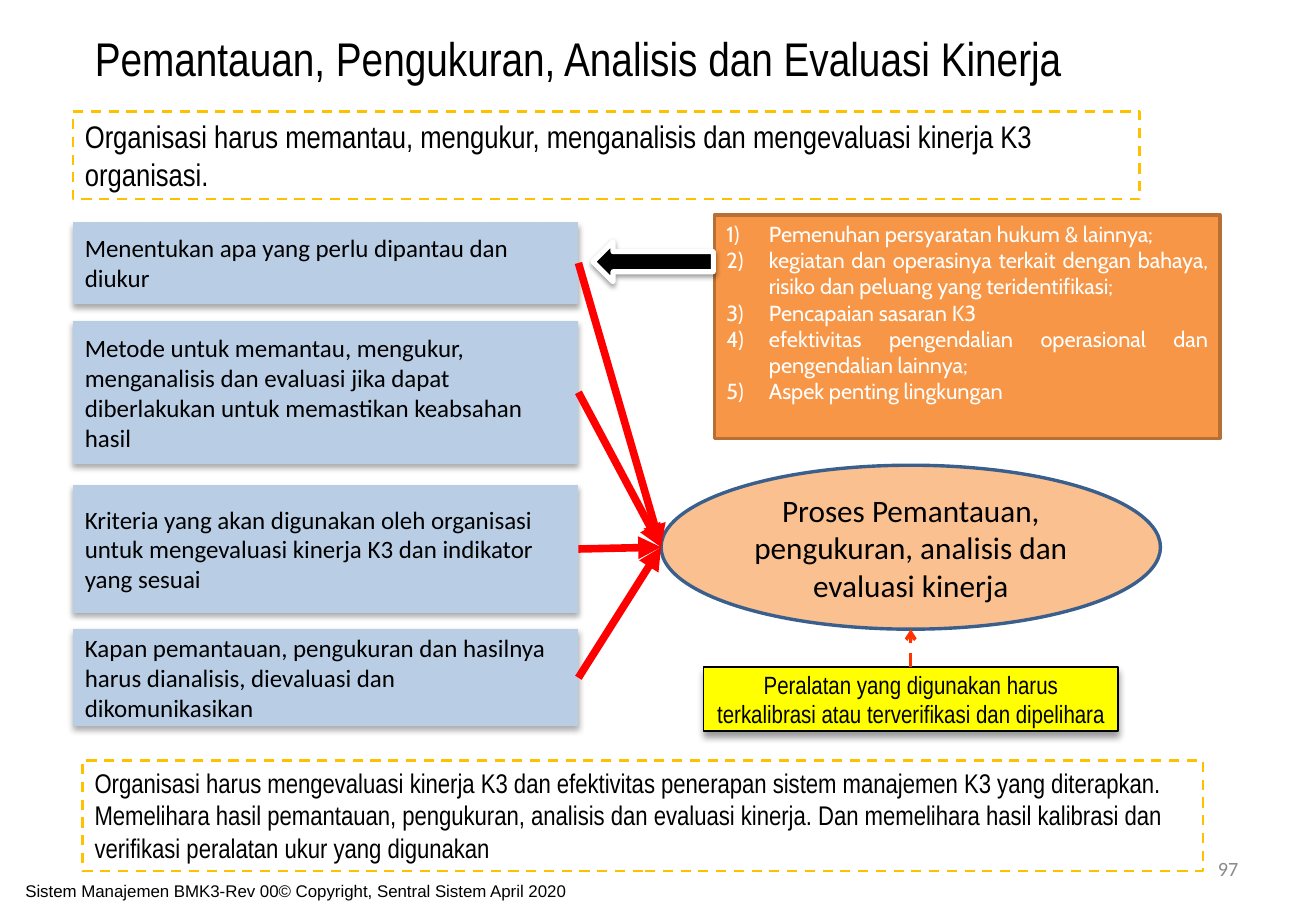
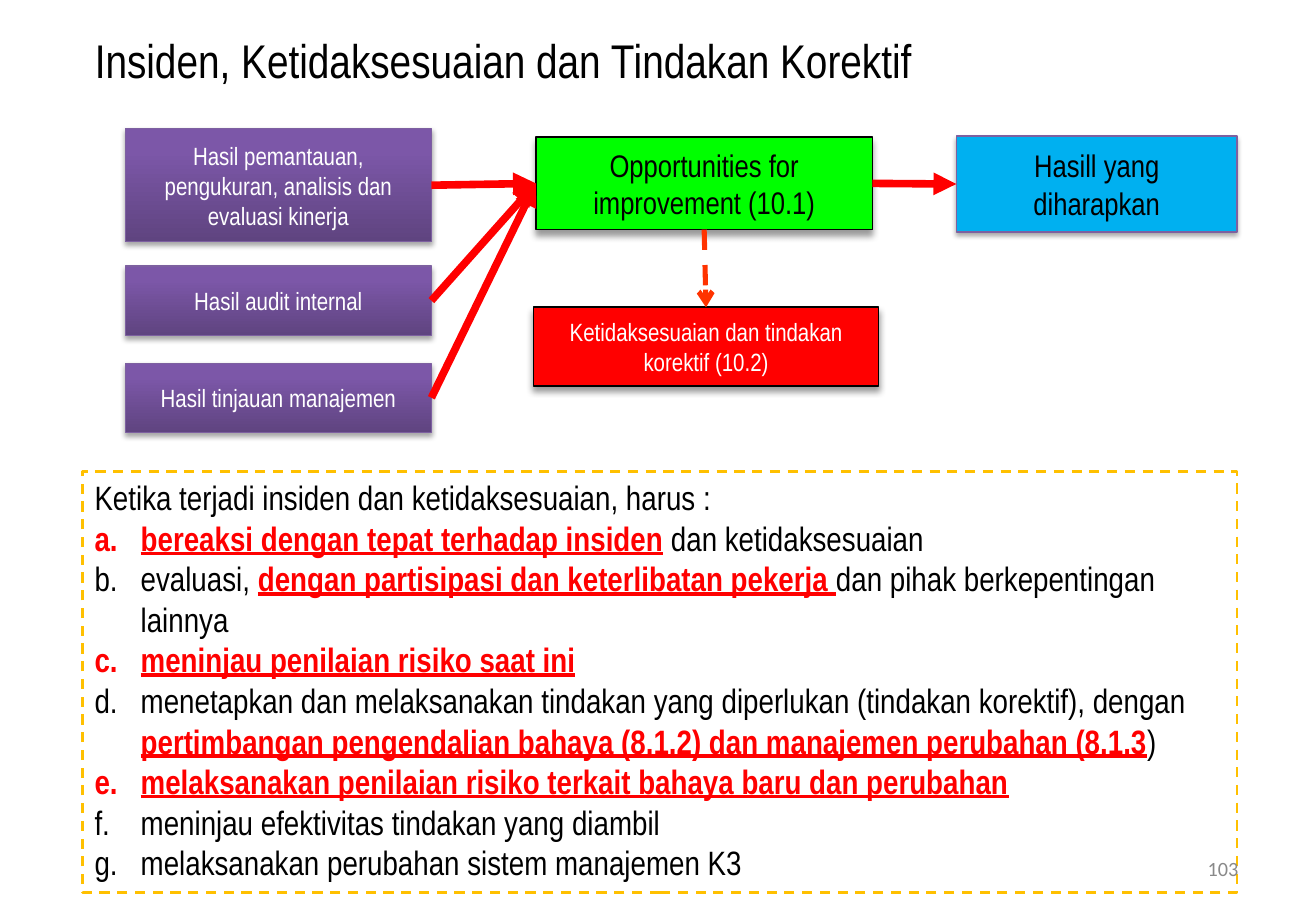
from pptx import Presentation, util as u
from pptx.dml.color import RGBColor
from pptx.enum import dml, shapes, text
from pptx.oxml.ns import qn
from lxml import etree

Inches, Pt = u.Inches, u.Pt
KIND, ALIGN, ANCHOR = shapes.MSO_SHAPE, text.PP_ALIGN, text.MSO_ANCHOR

# Shared look
NARROW, BODY = "Arial Narrow", "Calibri"
BLACK, WHITE, RED, AMBER, GREY = "000000", "FFFFFF", "FF0000", "FFC000", "898989"
SIGNAL, PURPLE_LINE = "FF3300", "7D60A0"
PURPLE = ("5F4480", "7C57A8")
# Shadows: opacity in percent, blur and distance in points
FLAT_SHADOW, OUTLINED_SHADOW = (32, 3.5, 2.2), (40, 4, 3)
RAISED_SHADOW, ARROW_SHADOW = (35, 3.1, 1.8), (38, 3.1, 1.6)
SIDES = ("top", "left", "bottom", "right")


def rgb(value):
    return RGBColor.from_string(value)


def inches(*lengths):
    return [Inches(length) for length in lengths]


def sub(parent, tag, **attributes):
    return etree.SubElement(parent, qn(tag), {k: str(v) for k, v in attributes.items()})


def write(frame, lines, size, face=NARROW, color=BLACK, align=ALIGN.LEFT,
          anchor=ANCHOR.TOP, numbering=None, indent=0, intro=0):
    """Write paragraphs; *starred* parts are emphasised, the first `intro` are unnumbered."""
    frame.word_wrap = True
    frame.auto_size = text.MSO_AUTO_SIZE.NONE
    frame.vertical_anchor = anchor
    for index, line in enumerate(lines):
        paragraph = frame.add_paragraph() if index else frame.paragraphs[0]
        paragraph.alignment = align
        if numbering and index >= intro:
            properties = paragraph._p.get_or_add_pPr()
            properties.set("marL", str(Inches(indent)))
            properties.set("indent", str(-Inches(indent)))
            sub(properties, "a:buAutoNum", type=numbering)
        font = paragraph.font
        font.name, font.size, font.color.rgb = face, Pt(size), rgb(color)
        for part, words in enumerate(line.split("*")):
            if words:
                run = paragraph.add_run()
                run.text = words
                if part % 2:
                    run.font.bold = run.font.underline = True
                    run.font.color.rgb = rgb(RED)


def add_box(slide, at, fill=None, line=None, shadow=None, kind=KIND.RECTANGLE, dash=False):
    """Draw a preset shape; fill is a colour, a bottom-to-top pair or None."""
    box = slide.shapes.add_shape(kind, *inches(*at))
    if fill is None:
        box.fill.background()
    elif isinstance(fill, tuple):
        box.fill.gradient()
        box.fill.gradient_angle = 90
        for stop, color, position in zip(box.fill.gradient_stops, fill, (0, 0.8)):
            stop.color.rgb, stop.position = rgb(color), position
    else:
        box.fill.solid()
        box.fill.fore_color.rgb = rgb(fill)
    if line:
        box.line.color.rgb, box.line.width = rgb(line[0]), Pt(line[1])
        if dash:
            box.line.dash_style = dml.MSO_LINE.DASH
    else:
        box.line.fill.background()
    box.shadow.inherit = False
    if shadow:
        opacity, blur, distance = shadow
        effects = box._element.spPr.find(qn("a:effectLst"))
        outer = sub(effects, "a:outerShdw", blurRad=Pt(blur), dist=Pt(distance),
                    dir=90 * 60000, rotWithShape=0)
        sub(sub(outer, "a:srgbClr", val=BLACK), "a:alpha", val=opacity * 1000)
    return box


def side_point(box, side):
    x = {"left": 0, "right": box.width}.get(side, box.width // 2)
    y = {"top": 0, "bottom": box.height}.get(side, box.height // 2)
    return box.left + x, box.top + y


def add_arrow(slide, source, source_side, target, target_side,
              color=RED, width=4.5, head="triangle", dash=False):
    arrow = slide.shapes.add_connector(shapes.MSO_CONNECTOR.STRAIGHT,
                                       *side_point(source, source_side),
                                       *side_point(target, target_side))
    # Ovals number their connection sites differently, so only boxes are glued
    for connect, box, side in ((arrow.begin_connect, source, source_side),
                               (arrow.end_connect, target, target_side)):
        if box.auto_shape_type != KIND.OVAL:
            connect(box, SIDES.index(side))
    arrow.line.color.rgb, arrow.line.width = rgb(color), Pt(width)
    if dash:
        arrow.line.dash_style = dml.MSO_LINE.DASH
    sub(arrow.line._get_or_add_ln(), "a:tailEnd", type=head)
    sub(arrow._element.spPr, "a:effectLst")


def add_label(slide, at, words, size, face, **style):
    label = slide.shapes.add_textbox(*inches(*at))
    write(label.text_frame, [words], size, face, **style)


def start_slide(deck, heading, top):
    slide = deck.slides.add_slide(deck.slide_layouts[5])
    title = slide.shapes.title
    title.left, title.top, title.width, title.height = inches(0.68, top, 9.6, 0.57)
    write(title.text_frame, [heading], 28)
    return slide


def add_page_number(slide, number):
    add_label(slide, (7.76, 6.95, 2.53, 0.4), number, 12, BODY, color=GREY,
              align=ALIGN.RIGHT, anchor=ANCHOR.MIDDLE)


def add_note(slide, at, lines, size, **style):
    """Dashed amber frame with text."""
    note = add_box(slide, at, line=(AMBER, 1.5), dash=True)
    write(note.text_frame, lines, size, **style)


def add_caption_box(slide, at, words, size, face=NARROW, color=BLACK,
                    align=ALIGN.CENTER, **look):
    box = add_box(slide, at, **look)
    write(box.text_frame, [words], size, face, color, align, ANCHOR.MIDDLE)
    return box


def add_inputs(slide, left, top, width, entries, **style):
    """Column of boxes; each entry is offset from top, height, words."""
    return [add_caption_box(slide, (left, top + offset, width, height), words, 14.8, **style)
            for offset, height, words in entries]


def add_monitoring_process(slide, left, top):
    """Inputs on the left leading to the process oval and its equipment note."""
    inputs = add_inputs(slide, left, top, 4.16, [
        (0, 0.67, "Menentukan apa yang perlu dipantau dan diukur"),
        (0.81, 1.18, "Metode untuk memantau, mengukur, menganalisis dan evaluasi jika dapat "
                     "diberlakukan untuk memastikan keabsahan hasil"),
        (2.16, 1.06, "Kriteria yang akan digunakan oleh organisasi untuk mengevaluasi "
                     "kinerja K3 dan indikator yang sesuai"),
        (3.35, 0.8, "Kapan pemantauan, pengukuran dan hasilnya harus dianalisis, "
                    "dievaluasi dan dikomunikasikan"),
    ], face=BODY, align=ALIGN.LEFT, fill="B9CDE5", shadow=FLAT_SHADOW,
        kind=KIND.FLOWCHART_PROCESS)
    process = add_caption_box(slide, (left + 4.84, top + 2, 4.11, 1.35),
                              "Proses Pemantauan, pengukuran, analisis dan evaluasi kinerja",
                              18.5, BODY, fill="FAC090", line=("3A5F8C", 2), kind=KIND.OVAL)
    for step in inputs:
        add_arrow(slide, step, "right", process, "left")
    equipment = add_caption_box(
        slide, (left + 5.19, top + 3.66, 3.41, 0.53),
        "Peralatan yang digunakan harus terkalibrasi atau terverifikasi dan dipelihara",
        14.8, fill="FFFF00", line=(BLACK, 1), shadow=OUTLINED_SHADOW)
    add_arrow(slide, equipment, "top", process, "bottom", SIGNAL, 2, "arrow", dash=True)


def add_monitored_items(slide, left, top):
    """Numbered list with a block arrow pointing left from it."""
    items = add_box(slide, (left, top, 4.16, 1.84), "F79646", ("B76F34", 2))
    write(items.text_frame, [
        "Pemenuhan persyaratan hukum & lainnya;",
        "kegiatan dan operasinya terkait dengan bahaya, risiko dan peluang yang teridentifikasi;",
        "Pencapaian sasaran K3",
        "efektivitas pengendalian operasional dan pengendalian lainnya;",
        "Aspek penting lingkungan",
    ], 12.9, "Cabin", WHITE, ALIGN.JUSTIFY, numbering="arabicParenR", indent=0.35)
    add_box(slide, (left - 1, top + 0.22, 0.99, 0.33), BLACK, (WHITE, 3),
            ARROW_SHADOW, KIND.LEFT_ARROW)


def add_improvement_flow(slide, left, top):
    """Three results leading to improvement, then to outcome and correction."""
    results = add_inputs(slide, left, top, 2.52, [
        (0, 0.93, "Hasil pemantauan, pengukuran, analisis dan evaluasi kinerja"),
        (1.13, 0.57, "Hasil audit internal"),
        (1.93, 0.57, "Hasil tinjauan manajemen"),
    ], color=WHITE, fill=PURPLE, line=(PURPLE_LINE, 0.75), shadow=RAISED_SHADOW)
    improvement = add_caption_box(slide, (left + 3.38, top + 0.07, 2.77, 0.76),
                                  "Opportunities for improvement (10.1)", 18.5,
                                  fill="00FF00", line=(BLACK, 1), shadow=OUTLINED_SHADOW)
    for result in results:
        add_arrow(slide, result, "right", improvement, "left")
    outcome = add_caption_box(slide, (left + 6.84, top + 0.06, 2.31, 0.79),
                              "Hasill yang diharapkan", 18.5, fill="00B0F0",
                              line=(PURPLE_LINE, 0.75), shadow=RAISED_SHADOW)
    add_arrow(slide, improvement, "right", outcome, "left")
    correction = add_caption_box(slide, (left + 3.36, top + 1.47, 2.84, 0.65),
                                 "Ketidaksesuaian dan tindakan korektif (10.2)", 14.8,
                                 color=WHITE, fill=RED, line=(BLACK, 1),
                                 shadow=OUTLINED_SHADOW)
    add_arrow(slide, improvement, "bottom", correction, "top", SIGNAL, 3, "arrow", dash=True)


def build_monitoring_slide(deck):
    slide = start_slide(deck, "Pemantauan, Pengukuran, Analisis dan Evaluasi Kinerja", 0.19)
    add_note(slide, (0.6, 0.92, 8.78, 0.72), [
        "Organisasi harus memantau, mengukur, menganalisis dan mengevaluasi kinerja K3 "
        "organisasi."], 18.5)
    add_monitoring_process(slide, 0.6, 1.83)
    add_monitored_items(slide, 5.88, 1.77)
    add_note(slide, (0.68, 6.26, 9.22, 0.91), [
        "Organisasi harus mengevaluasi kinerja K3 dan efektivitas penerapan sistem manajemen "
        "K3 yang diterapkan. Memelihara hasil pemantauan, pengukuran, analisis dan evaluasi "
        "kinerja. Dan memelihara hasil kalibrasi dan verifikasi peralatan ukur yang "
        "digunakan"], 16)
    add_page_number(slide, "97")
    add_label(slide, (0.11, 7.2, 5.25, 0.4),
              "Sistem Manajemen BMK3-Rev 00© Copyright, Sentral Sistem April 2020", 10, "Arial")


def build_incident_slide(deck):
    slide = start_slide(deck, "Insiden, Ketidaksesuaian dan Tindakan Korektif", 0.21)
    add_improvement_flow(slide, 1.03, 1.06)
    add_note(slide, (0.68, 3.88, 9.5, 3.47), [
        "Ketika terjadi insiden dan ketidaksesuaian, harus :",
        "*bereaksi dengan tepat terhadap insiden* dan ketidaksesuaian",
        "evaluasi, *dengan partisipasi dan keterlibatan pekerja *dan pihak berkepentingan lainnya",
        "*meninjau penilaian risiko saat ini*",
        "menetapkan dan melaksanakan tindakan yang diperlukan (tindakan korektif), dengan "
        "*pertimbangan pengendalian bahaya (8.1.2) dan manajemen perubahan (8.1.3*)",
        "*melaksanakan penilaian risiko terkait bahaya baru dan perubahan*",
        "meninjau efektivitas tindakan yang diambil",
        "melaksanakan perubahan sistem manajemen K3",
    ], 20, numbering="alphaLcPeriod", indent=0.38, intro=1)
    add_page_number(slide, "103")


def main():
    deck = Presentation()
    deck.slide_width, deck.slide_height = inches(10.83, 7.5)
    build_monitoring_slide(deck)
    build_incident_slide(deck)
    deck.save("out.pptx")


if __name__ == "__main__":
    main()
